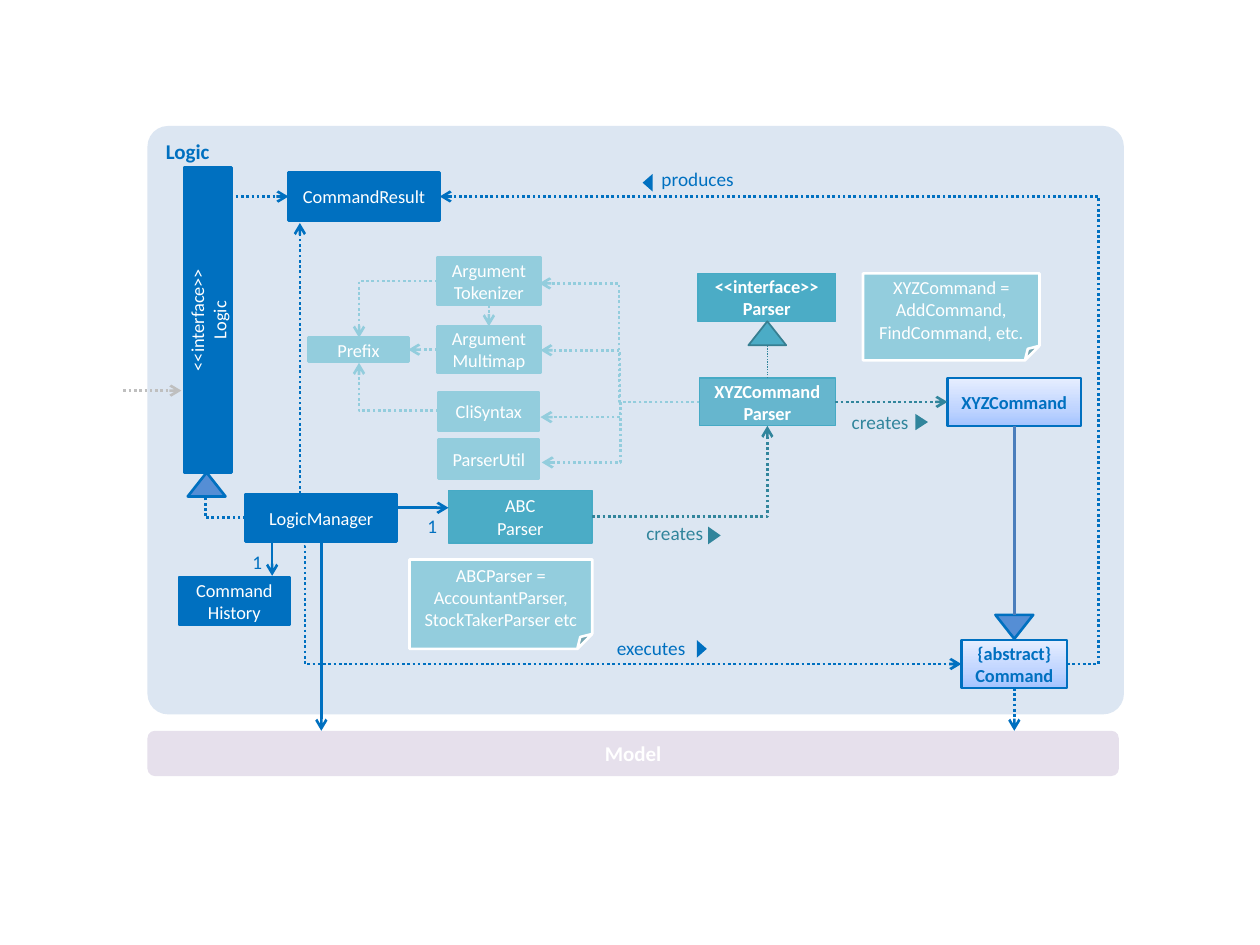
"""Class diagram of the Logic component."""
from copy import deepcopy

from lxml.etree import SubElement
from pptx import Presentation
from pptx.dml.color import RGBColor
from pptx.enum.dml import MSO_LINE
from pptx.enum.shapes import MSO_CONNECTOR, MSO_SHAPE
from pptx.enum.text import MSO_ANCHOR, PP_ALIGN
from pptx.oxml.ns import qn
from pptx.util import Inches, Pt

C = {"blue": "0070C0", "mid": "558ED5", "teal": "4BACC6", "teal_edge": "46AAC5",
     "teal_dark": "31859C", "teal_line": "377F92", "pale": "93CDDD", "panel": "DCE6F2",
     "model": "E6E0EC", "grey": "BFBFBF", "steel": "4B7EBC", "white": "FFFFFF"}
GRADIENT = [(0, "A4C4FF"), (0.35, "BFD4FF"), (1, "E6EEFF")]

STYLES = {
    "blue": dict(fill="blue", line="blue"),
    "pale": dict(fill="pale", line="pale"),
    "teal": dict(fill="teal", line="teal_edge", width=0.75),
    "grad": dict(line="blue", color="blue", bold=True),
    "note": dict(shape=MSO_SHAPE.FOLDED_CORNER, fill="pale", line="white"),
}
BOXES = {
    "logic": ("<<interface>>\nLogic", "blue", (0.44, 2.35, 2.42, 0.38), dict(rot=270)),
    "result": ("CommandResult", "blue", (2.29, 1.37, 1.2, 0.38), {}),
    "manager": ("LogicManager", "blue", (1.95, 3.92, 1.2, 0.38), {}),
    "history": ("Command\nHistory", "blue", (1.42, 4.58, 0.88, 0.38), {}),
    "tokenizer": ("Argument\vTokenizer", "pale", (3.47, 2.04, 0.82, 0.38), {}),
    "multimap": ("Argument\vMultimap", "pale", (3.47, 2.59, 0.82, 0.37), {}),
    "prefix": ("Prefix", "pale", (2.45, 2.68, 0.79, 0.19), {}),
    "syntax": ("CliSyntax", "pale", (3.48, 3.11, 0.8, 0.31), {}),
    "util": ("ParserUtil", "pale", (3.48, 3.49, 0.8, 0.31), {}),
    "abc": ("ABC\nParser", "teal", (3.56, 3.89, 1.14, 0.42), {}),
    "parser": ("<<interface>>\nParser", "teal", (5.54, 2.17, 1.09, 0.38), dict(bold=True)),
    "xyz_parser": ("XYZCommand\nParser", "teal", (5.55, 3, 1.08, 0.38),
                   dict(bold=True, alpha=81)),
    "xyz": ("XYZCommand", "grad", (7.52, 3, 1.06, 0.38), {}),
    "command": ("{abstract}\vCommand", "grad", (7.63, 5.08, 0.84, 0.38), {}),
    "xyz_note": ("XYZCommand = AddCommand, FindCommand, etc.", "note",
                 (6.85, 2.17, 1.4, 0.69), {}),
    "abc_note": ("ABCParser = AccountantParser,\nStockTakerParser etc", "note",
                 (3.25, 4.44, 1.45, 0.71), {}),
}
TRIANGLES = [
    ((1.49, 3.75, 0.3, 0.19), dict(fill="mid", line="blue")),
    ((7.9, 4.88, 0.3, 0.19), dict(fill="mid", line="blue", rot=180)),
    ((5.94, 2.55, 0.3, 0.19), dict(fill="teal", line="teal_line", width=1)),
    ((5.5, 5.11, 0.14, 0.08), dict(fill="blue", rot=90)),
    ((5.07, 1.41, 0.14, 0.08), dict(fill="blue", rot=270)),
    ((5.6, 4.2, 0.14, 0.1), dict(fill="teal_dark", rot=90)),
    ((7.25, 3.3, 0.13, 0.1), dict(fill="teal_dark", rot=90)),
]
LABELS = [
    ("executes", (4.64, 5.05, 0.8, 0.25), "blue", PP_ALIGN.RIGHT),
    ("produces", (5.25, 1.33, 0.8, 0.25), "blue", PP_ALIGN.LEFT),
    ("1", (3.33, 4.08, 0.14, 0.25), "blue", PP_ALIGN.RIGHT),
    ("1", (1.94, 4.37, 0.14, 0.25), "blue", PP_ALIGN.RIGHT),
    ("creates", (5.13, 4.14, 0.61, 0.28), "teal_dark", PP_ALIGN.LEFT),
    ("creates", (6.76, 3.26, 0.65, 0.24), "teal_dark", PP_ALIGN.LEFT),
]
TOP, LEFT, BOTTOM, RIGHT = range(4)
STRAIGHT = [
    ((1.83, 1.56), (2.29, 1.56), "blue", dict(end=("result", LEFT))),
    ((8.05, 5.46), (8.05, 5.8), "blue", dict(begin=("command", BOTTOM))),
    ((2.55, 4.3), (2.55, 5.8), "blue", dict(begin=("manager", BOTTOM), dash=False)),
    ((0.98, 3.1), (1.44, 3.1), "grey", {}),
    ((2.38, 3.92), (2.38, 1.77), "blue", {}),
    ((8.05, 3.38), (8.05, 4.88), "steel",
     dict(begin=("xyz", BOTTOM), dash=False, arrow=False)),
    ((6.63, 3.19), (7.52, 3.19), "teal_dark",
     dict(begin=("xyz_parser", RIGHT), end=("xyz", LEFT))),
    ((3.47, 2.78), (3.24, 2.78), "pale",
     dict(begin=("multimap", LEFT), end=("prefix", RIGHT))),
    ((3.88, 2.42), (3.88, 2.59), "pale",
     dict(begin=("tokenizer", BOTTOM), end=("multimap", TOP))),
    ((2.16, 4.31), (2.16, 4.57), "blue", dict(dash=False)),
    ((3.16, 4.03), (3.56, 4.03), "blue", dict(dash=False)),
    ((6.09, 3), (6.09, 2.74), "teal_dark",
     dict(begin=("xyz_parser", TOP), width=0.75, arrow=False)),
]
CORNERS = [
    ((1.95, 4.11), (1.63, 3.94), "blue", dict(arrow=False)),
    ((3.48, 3.26), (2.85, 2.88), "pale", {}),
    ((3.47, 2.23), (2.85, 2.68), "pale", {}),
    ((4.7, 4.1), (6.09, 3.38), "teal_dark", {}),
]
ELBOWS = [
    ((8.47, 5.27), (3.49, 1.56), "blue", dict(bend=-0.05)),
    ((2.41, 4.34), (7.63, 5.27), "blue", dict(bend=0.002)),
] + [((5.55, 3.19), end, "pale", dict(bend=0.5))
     for end in [(4.28, 2.25), (4.29, 2.78), (4.29, 3.31), (4.3, 3.67)]]


def rgb(name):
    return RGBColor.from_string(C[name])


def write(tf, text, size=10.5, color="white", bold=False, align=PP_ALIGN.CENTER,
          anchor=MSO_ANCHOR.MIDDLE):
    tf.word_wrap = True
    tf.vertical_anchor = anchor
    tf.text = text
    for p in tf.paragraphs:
        p.alignment = align
        for r in p.runs:
            r.font.name, r.font.size, r.font.bold = "Calibri", Pt(size), bold
            r.font.color.rgb = rgb(color)


def add_block(s, box, shape=MSO_SHAPE.RECTANGLE, fill=None, line=None, width=1.5, rot=0,
              alpha=None, text="", **fmt):
    sp = s.shapes.add_shape(shape, *map(Inches, box))
    sp.shadow.inherit = False
    sp.rotation = rot
    if fill:
        sp.fill.solid()
        sp.fill.fore_color.rgb = rgb(fill)
    else:
        sp.fill.gradient()
        sp.fill.gradient_angle = 90
        first = sp._element.spPr.find(".//" + qn("a:gs"))
        first.addnext(deepcopy(first))
        for stop, (pos, color) in zip(sp.fill.gradient_stops, GRADIENT):
            stop.position = pos
            stop.color.rgb = RGBColor.from_string(color)
    if alpha:
        color = sp._element.spPr.find(".//" + qn("a:srgbClr"))
        SubElement(color, qn("a:alpha"), val=str(alpha * 1000))
    if line:
        sp.line.color.rgb = rgb(line)
        sp.line.width = Pt(width)
    else:
        sp.line.fill.background()
    if text:
        write(sp.text_frame, text, **fmt)
    return sp


def add_line(s, start, stop, color, kind=MSO_CONNECTOR.STRAIGHT, width=1.5, dash=True,
             arrow=True, bend=None, begin=None, end=None, blocks=None):
    cx = s.shapes.add_connector(kind, *map(Inches, start + stop))
    if begin:
        cx.begin_connect(blocks[begin[0]], begin[1])
    if end:
        cx.end_connect(blocks[end[0]], end[1])
    cx.line.color.rgb = rgb(color)
    cx.line.width = Pt(width)
    if dash:
        cx.line.dash_style = MSO_LINE.ROUND_DOT
    spPr = cx._element.spPr
    if arrow:
        SubElement(spPr.find(qn("a:ln")), qn("a:tailEnd"), type="arrow")
    SubElement(spPr, qn("a:effectLst"))
    if kind == MSO_CONNECTOR.ELBOW:
        geom = spPr.find(qn("a:prstGeom"))
        if bend is None:
            geom.set("prst", "bentConnector2")
        else:
            SubElement(geom.find(qn("a:avLst")), qn("a:gd"), name="adj1",
                       fmla=f"val {round(bend * 100000)}")


def main():
    prs = Presentation()
    prs.slide_width, prs.slide_height = Inches(10), Inches(7.5)
    s = prs.slides.add_slide(prs.slide_layouts[6])
    rounded = MSO_SHAPE.ROUNDED_RECTANGLE
    panel = add_block(s, (1.17, 1, 7.75, 4.67), rounded, "panel", text="Logic", size=12,
                      color="blue", bold=True, align=PP_ALIGN.LEFT, anchor=MSO_ANCHOR.TOP)
    panel.adjustments[0] = 0.035
    add_block(s, (1.17, 5.8, 7.71, 0.36), rounded, "model", text="Model", size=12, bold=True)
    blocks = {name: add_block(s, box, text=text, **{**STYLES[style], **extra})
              for name, (text, style, box, extra) in BOXES.items()}
    for box, fmt in TRIANGLES:
        add_block(s, box, MSO_SHAPE.ISOSCELES_TRIANGLE, **fmt)
    for start, stop, color, fmt in STRAIGHT:
        add_line(s, start, stop, color, blocks=blocks, **fmt)
    for start, stop, color, fmt in CORNERS + ELBOWS:
        add_line(s, start, stop, color, MSO_CONNECTOR.ELBOW, **fmt)
    for text, box, color, align in LABELS:
        tf = s.shapes.add_textbox(*map(Inches, box)).text_frame
        tf.margin_left = tf.margin_right = tf.margin_top = tf.margin_bottom = 0
        write(tf, text, size=11, color=color, align=align, anchor=MSO_ANCHOR.TOP)
    prs.save("out.pptx")


if __name__ == "__main__":
    main()
